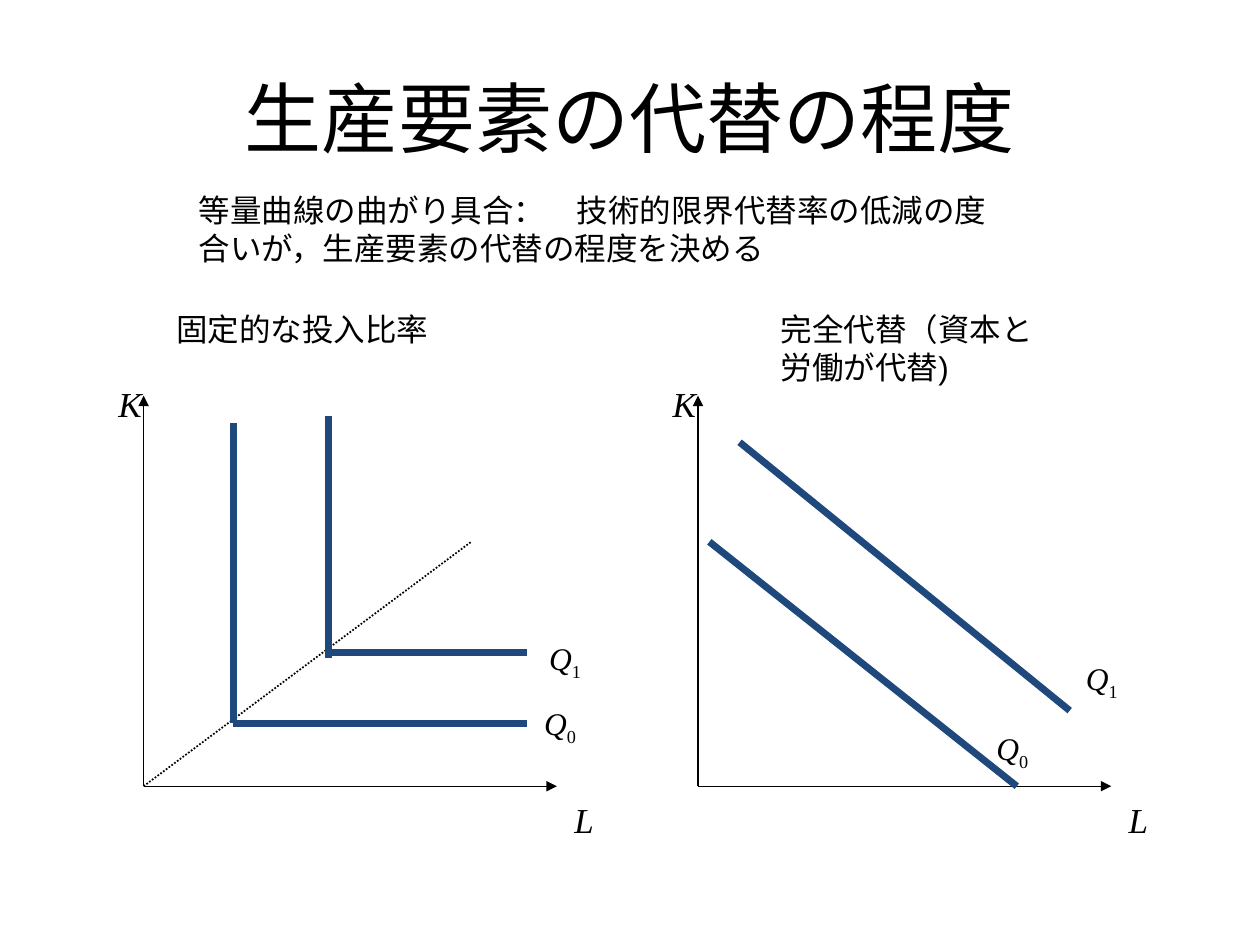
from lxml.etree import SubElement
from pptx import Presentation
from pptx.dml.color import RGBColor
from pptx.enum.dml import MSO_LINE
from pptx.enum.shapes import MSO_CONNECTOR
from pptx.enum.text import MSO_ANCHOR, MSO_AUTO_SIZE, PP_ALIGN
from pptx.oxml.ns import qn
from pptx.util import Inches, Pt

BLACK = RGBColor(0x00, 0x00, 0x00)
NAVY = RGBColor(0x1F, 0x49, 0x7D)


class DiagramSlide:
    title_font = "Calibri"
    body_font = "Arial"
    symbol_font = "Times New Roman"

    def __init__(self, deck):
        self.page = deck.slides.add_slide(deck.slide_layouts[5])

    def format_span(self, span, font, size, italic=False):
        span.font.name = font
        span.font.size = Pt(size)
        span.font.italic = italic
        span.font.color.rgb = BLACK

    def title(self, text, left, top, width, height):
        box = self.page.shapes.title
        box.left, box.top = Inches(left), Inches(top)
        box.width, box.height = Inches(width), Inches(height)
        frame = box.text_frame
        frame.text = text
        frame.vertical_anchor = MSO_ANCHOR.MIDDLE
        para = frame.paragraphs[0]
        para.alignment = PP_ALIGN.CENTER
        self.format_span(para.runs[0], self.title_font, 44)

    def text_box(self, left, top, width, height):
        box = self.page.shapes.add_textbox(
            Inches(left), Inches(top), Inches(width), Inches(height))
        frame = box.text_frame
        frame.word_wrap = True
        frame.auto_size = MSO_AUTO_SIZE.SHAPE_TO_FIT_TEXT
        return frame

    def caption(self, text, left, top, width, height):
        frame = self.text_box(left, top, width, height)
        frame.text = text
        self.format_span(frame.paragraphs[0].runs[0], self.body_font, 18)

    def axis_label(self, letter, left, top, width):
        frame = self.text_box(left, top, width, 0.28)
        frame.text = letter
        self.format_span(frame.paragraphs[0].runs[0], self.symbol_font, 20, True)

    def curve_label(self, index, left, top, width):
        frame = self.text_box(left, top, width, 0.4)
        frame.text = "Q"
        para = frame.paragraphs[0]
        self.format_span(para.runs[0], self.symbol_font, 18, True)
        subscript = para.add_run()
        subscript.text = index
        self.format_span(subscript, self.symbol_font, 18)
        subscript.font._element.set("baseline", "-25000")

    def line(self, start, end, color=BLACK, weight=0.75):
        connector = self.page.shapes.add_connector(
            MSO_CONNECTOR.STRAIGHT, *map(Inches, start + end))
        connector.line.color.rgb = color
        connector.line.width = Pt(weight)
        SubElement(connector._element.spPr, qn("a:effectLst"))
        return connector

    def arrow(self, start, end):
        connector = self.line(start, end)
        SubElement(connector.line._get_or_add_ln(), qn("a:tailEnd"), type="triangle")

    def dotted_line(self, start, end):
        self.line(start, end, weight=1).line.dash_style = MSO_LINE.ROUND_DOT

    def isoquant(self, start, end):
        self.line(start, end, NAVY, 4)

    def axes(self, left, bottom):
        self.arrow((left, bottom), (left + 3.28, bottom))
        self.arrow((left, bottom), (left, bottom - 3.1))
        self.axis_label("K", left - 0.3, bottom - 3.25, 0.22)
        self.axis_label("L", left + 3.32, bottom + 0.05, 0.31)


def main():
    deck = Presentation()
    deck.slide_width, deck.slide_height = Inches(10), Inches(7.5)
    slide = DiagramSlide(deck)
    slide.title("生産要素の代替の程度", 0.5, 0.3, 9, 1.25)

    bottom = 6.24
    fixed_left, perfect_left = 1.14, 5.54
    for left in (fixed_left, perfect_left):
        slide.axes(left, bottom)

    for label in (
        ("0", 4.22, 5.54, 0.48),
        ("1", 4.26, 5.02, 0.51),
        ("0", 7.81, 5.74, 0.68),
        ("1", 8.52, 5.18, 0.6),
    ):
        slide.curve_label(*label)

    slide.dotted_line((fixed_left, bottom), (3.74, 4.3))
    for start, end in (
        ((1.85, 3.36), (1.85, 5.74)),
        ((1.85, 5.74), (4.18, 5.74)),
        ((2.62, 5.18), (4.18, 5.18)),
        ((2.61, 3.3), (2.61, 5.22)),
        ((5.63, 4.3), (8.07, bottom)),
        ((5.87, 3.51), (8.49, 5.64)),
    ):
        slide.isoquant(start, end)

    slide.caption("固定的な投入比率", 1.3, 2.41, 2.88, 0.4)
    slide.caption("完全代替（資本と労働が代替)", 6.1, 2.41, 2.2, 0.71)
    slide.caption(
        "等量曲線の曲がり具合：　技術的限界代替率の低減の度合いが，"
        "生産要素の代替の程度を決める", 1.48, 1.47, 6.61, 0.71)
    deck.save("out.pptx")


if __name__ == "__main__":
    main()
